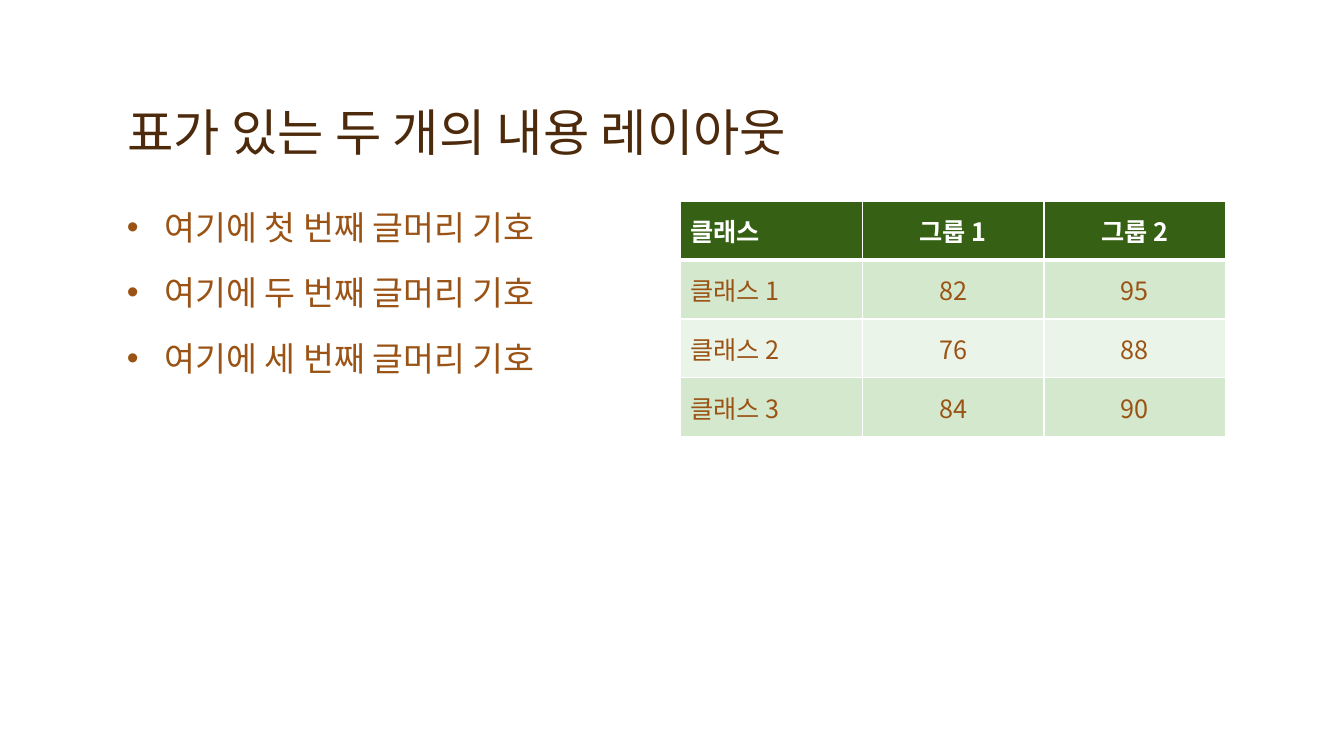
import pptx
import pptx.dml.color
import pptx.enum.text
import pptx.oxml
import pptx.oxml.ns
import pptx.util
from pptx.util import Cm, Pt

# Content
TITLE = "표가 있는 두 개의 내용 레이아웃"
BULLETS = [f"여기에 {n} 번째 글머리 기호" for n in ("첫", "두", "세")]
ROWS = [
    ("클래스", "그룹 1", "그룹 2"),
    ("클래스 1", "82", "95"),
    ("클래스 2", "76", "88"),
    ("클래스 3", "84", "90"),
]

# Style
FONT = "Noto Sans CJK KR"
BROWN, DARK_BROWN, WHITE = "9A5315", "4D2A0B", "FFFFFF"
HEADER_FILL, BAND_FILLS = "366013", ("EBF4E8", "D4E8CD")
LEFT, TOP = Cm(2.95), Cm(5.08)
TABLE_LEFT, COL_W, ROW_H = Cm(17.15), Cm(4.58), Cm(1.48)
INDENT = Cm(0.95)


def color(value):
    return pptx.dml.color.RGBColor.from_string(value)


def add_xml(parent, xml):
    ns = pptx.oxml.ns.nsdecls("a")
    parent.append(pptx.oxml.parse_xml(xml.replace(" ", f" {ns} ", 1)))


def format_text(p, size, fill, bold=False):
    for r in p.runs:
        r.font.name = FONT
        r.font.size = Pt(size)
        r.font.bold = bold
        r.font.color.rgb = color(fill)
        add_xml(r.font._element, f'<a:ea typeface="{FONT}"/>')


def add_border(cell, side, width):
    add_xml(cell._tc.get_or_add_tcPr(),
            f'<a:{side} w="{int(Pt(width))}"><a:solidFill>'
            f'<a:srgbClr val="{WHITE}"/></a:solidFill></a:{side}>')


prs = pptx.Presentation()
prs.slide_width, prs.slide_height = Cm(33.87), Cm(19.05)
slide = prs.slides.add_slide(prs.slide_layouts[5])

# Title
title = slide.shapes.title
title.left, title.top, title.width, title.height = LEFT, Cm(0.85), Cm(27.94), Cm(3.38)
tf = title.text_frame
tf.text = TITLE
tf.vertical_anchor = pptx.enum.text.MSO_ANCHOR.BOTTOM
p = tf.paragraphs[0]
p.alignment = pptx.enum.text.PP_ALIGN.LEFT
p.line_spacing = 0.9
format_text(p, 36, DARK_BROWN)

# Bullets
tf = slide.shapes.add_textbox(LEFT, TOP, Cm(13.76), Cm(11.64)).text_frame
tf.word_wrap = True
tf.text = "\n".join(BULLETS)
for p in tf.paragraphs:
    p.space_before = Pt(18)
    format_text(p, 24, BROWN)
    pPr = p._p.get_or_add_pPr()
    pPr.set("marL", str(int(INDENT)))
    pPr.set("indent", str(-int(INDENT)))
    add_xml(pPr, '<a:buFont typeface="Arial"/>')
    add_xml(pPr, '<a:buChar char="•"/>')

# Table
table = slide.shapes.add_table(len(ROWS), len(ROWS[0]), TABLE_LEFT, TOP,
                               COL_W * len(ROWS[0]), ROW_H * len(ROWS)).table
for col in table.columns:
    col.width = COL_W
for i, row in enumerate(ROWS):
    table.rows[i].height = ROW_H
    header = i == 0
    for j, text in enumerate(row):
        cell = table.cell(i, j)
        cell.text = text
        cell.vertical_anchor = pptx.enum.text.MSO_ANCHOR.MIDDLE
        p = cell.text_frame.paragraphs[0]
        if j > 0:
            p.alignment = pptx.enum.text.PP_ALIGN.CENTER
        format_text(p, 18, WHITE if header else BROWN, header)
        for side in ("lnL", "lnR", "lnT", "lnB"):
            thick = (header and side == "lnB") or (i == 1 and side == "lnT")
            add_border(cell, side, 3 if thick else 1)
        cell.fill.solid()
        cell.fill.fore_color.rgb = color(HEADER_FILL if header else BAND_FILLS[i % 2])

prs.save("out.pptx")
